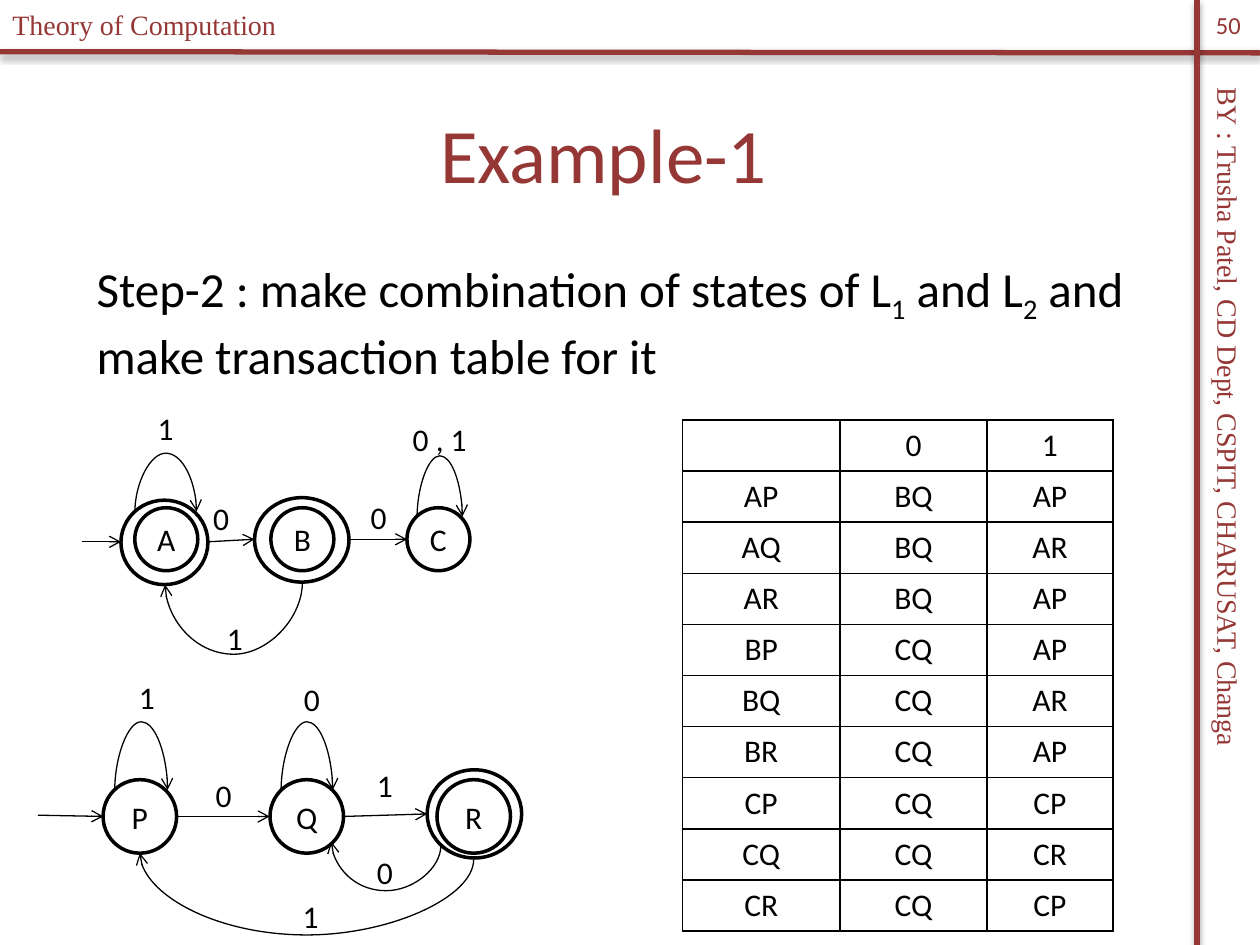
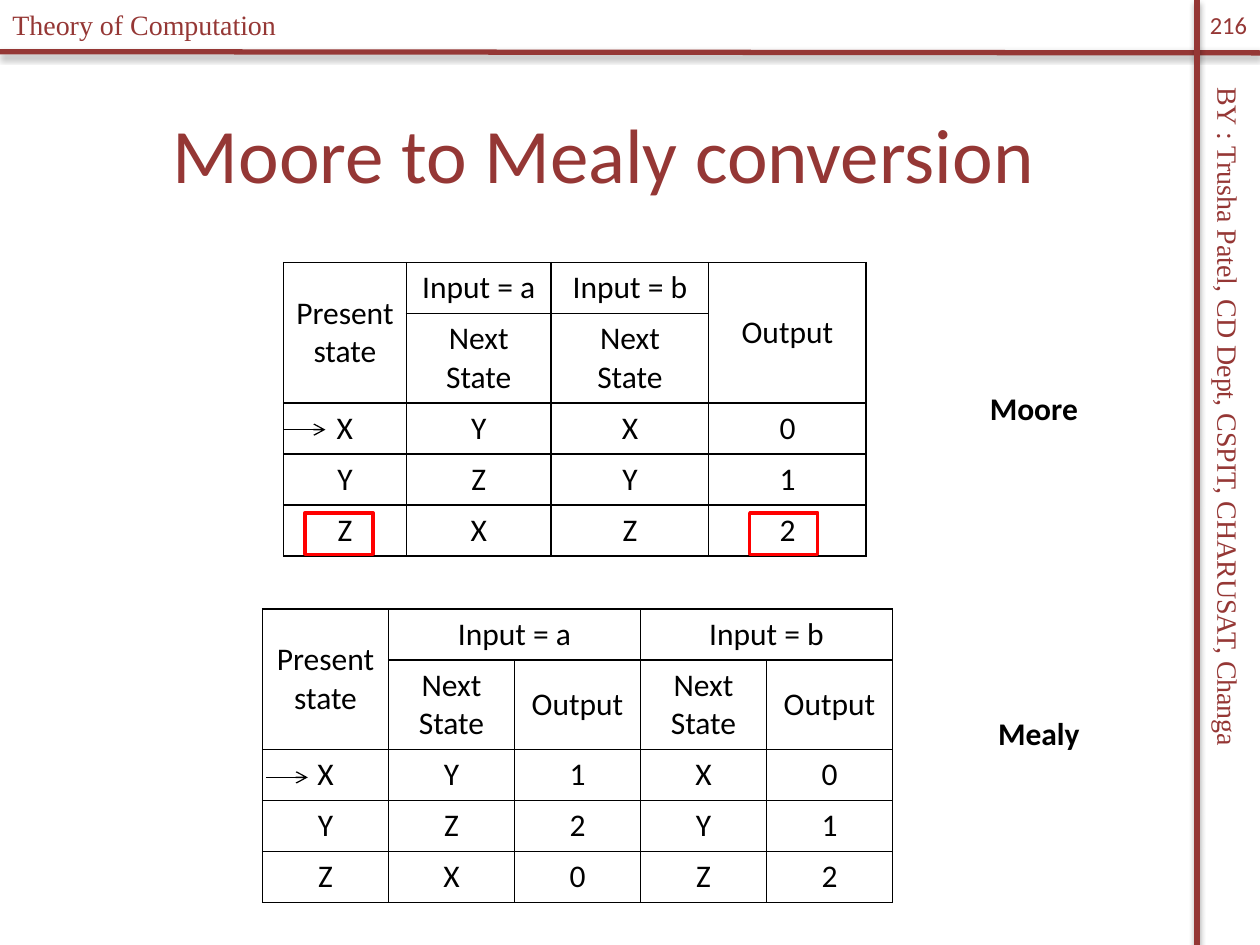
import lxml.etree
import pptx
import pptx.dml.color
import pptx.enum.shapes
import pptx.enum.text
import pptx.oxml
import pptx.oxml.ns
import pptx.util

MAROON, BLACK, WHITE, RED = "953735", "000000", "FFFFFF", "FF0000"
SANS, SERIF = "Calibri", "Times New Roman"
COLS, ROWS = 120, 90  # square grid laid over the slide
LINK = pptx.enum.shapes.MSO_CONNECTOR
SHAPE = pptx.enum.shapes.MSO_SHAPE
ALIGN = pptx.enum.text.PP_ALIGN
MIDDLE = pptx.enum.text.MSO_ANCHOR.MIDDLE
ROW = 4.87

deck = pptx.Presentation()
deck.slide_width = pptx.util.Inches(10)
deck.slide_height = pptx.util.Inches(7.5)


def span(count):
    """Length of a number of grid units."""
    return pptx.util.Emu(round(deck.slide_width * count / COLS))


def spans(*counts):
    return [span(count) for count in counts]


def tint(code):
    return pptx.dml.color.RGBColor.from_string(code)


def node(parent, tag, **attrs):
    child = lxml.etree.SubElement(parent, pptx.oxml.ns.qn(tag))
    for name, value in attrs.items():
        child.set(name, str(value))
    return child


def style(frame, size, color=BLACK, font=SANS, bold=False, align=ALIGN.CENTER):
    for para in frame.paragraphs:
        para.alignment = align
        for run in para.runs:
            run.font.size = pptx.util.Pt(size)
            run.font.name = font
            run.font.bold = bold
            run.font.color.rgb = tint(color)


def label(shapes, text, box, size=18, **look):
    item = shapes.add_textbox(*spans(*box))
    item.text_frame.text = text
    item.text_frame.word_wrap = False
    item.text_frame.vertical_anchor = MIDDLE
    style(item.text_frame, size, **look)
    return item


def tag(shapes, text, x, y, wide=8, bold=False):
    """Text centred on a point."""
    label(shapes, text, (x - wide / 2, y - 2.4, wide, 4.8), bold=bold)


def stroke(shape, color, width):
    shape.line.color.rgb = tint(color)
    shape.line.width = pptx.util.Pt(width)


def link(shapes, x, y, to_x, to_y, color=BLACK, width=0.75, kind=LINK.STRAIGHT):
    line = shapes.add_connector(kind, *spans(x, y, to_x, to_y))
    stroke(line, color, width)
    node(line.element.spPr, "a:effectLst")
    return line


def point(line):
    """Put an open arrowhead at the end of a line."""
    ln = line.element.spPr.find(pptx.oxml.ns.qn("a:ln"))
    node(ln, "a:tailEnd", type="arrow")


def arrow(shapes, x, y, to_x, to_y):
    point(link(shapes, x, y, to_x, to_y))


def arc(shapes, x, y, to_x, to_y, peak):
    """U-shaped arrow whose far side lies at the height of peak."""
    mid_x, mid_y = (x + to_x) / 2, (y + to_y) / 2
    wide, high = abs(to_y - y) / 2, abs(to_x - x) / 2
    line = link(shapes, mid_x - wide, mid_y - high, mid_x + wide, mid_y + high,
                kind=LINK.CURVE)
    point(line)
    turn = line.element.spPr.find(pptx.oxml.ns.qn("a:xfrm"))
    turn.set("rot", "5400000")
    if y > to_y:
        turn.set("flipH", "1")
    if x < to_x:
        turn.set("flipV", "1")
    bend = round((peak - y) / (to_y - y) * 100000)
    guides = next(line.element.iter(pptx.oxml.ns.qn("a:avLst")))
    node(guides, "a:gd", name="adj1", fmla=f"val {bend}")


def shade(line):
    effects = line.element.spPr.find(pptx.oxml.ns.qn("a:effectLst"))
    drop = node(effects, "a:outerShdw", blurRad=pptx.util.Pt(3.1),
                dist=pptx.util.Pt(1.8), dir=5400000, rotWithShape=0)
    node(node(drop, "a:srgbClr", val=BLACK), "a:alpha", val=35000)


def outline(shapes, kind, box, color=BLACK, fill=None):
    shape = shapes.add_shape(kind, *spans(*box))
    shape.shadow.inherit = False
    stroke(shape, color, 2)
    if fill:
        shape.fill.solid()
        shape.fill.fore_color.rgb = tint(fill)
    else:
        shape.fill.background()
    return shape


def border(slide):
    """Draw the rules and running texts, then move them to the master."""
    shapes = slide.shapes
    rules = [link(shapes, 0, 4.92, COLS, 5.04, MAROON, 3),
             link(shapes, 114, 0, 114, ROWS, MAROON, 3)]
    for rule in rules:
        shade(rule)
    look = dict(size=16, color=MAROON, font=SERIF, align=ALIGN.LEFT)
    side = label(shapes, "BY : Trusha Patel, CD Dept, CSPIT, CHARUSAT, Changa",
                 (78.48, 43.44, 77.04, 4.44), **look)
    side.rotation = 90
    course = label(shapes, "Theory of Computation", (0, 0.12, 39.48, 4.44), **look)
    for number, part in enumerate([*rules, side, course], 20):
        part.element.xpath(".//p:cNvPr")[0].set("id", str(number))
        deck.slide_master.shapes.element.append(part.element)


def place(shape, box):
    shape.left, shape.top, shape.width, shape.height = spans(*box)


def page(layout, title, number):
    slide = deck.slides.add_slide(deck.slide_layouts[layout])
    head = slide.shapes.title
    place(head, (2, 7, 111, 15))
    head.text_frame.text = title
    head.text_frame.vertical_anchor = MIDDLE
    style(head.text_frame, 44, MAROON)
    label(slide.shapes, number, (114, 0, 6, 4.8), 14, color=MAROON)
    return slide


def step(slide, box, parts):
    """Body text in which every second part is a subscript."""
    body = slide.placeholders[1]
    place(body, box)
    para = body.text_frame.paragraphs[0]
    for part in parts:
        para.add_run().text = part
    props = body.element.xpath(".//a:p")[0].get_or_add_pPr()
    props.set("marL", str(span(6)))
    props.set("indent", "0")
    node(props, "a:buNone")
    para.space_before = pptx.util.Pt(0)
    style(body.text_frame, 28, align=ALIGN.LEFT)
    for run in body.element.xpath(".//a:rPr")[1::2]:
        run.set("baseline", "-25000")


def edge(frame):
    """Rule every side of every cell; borders stand before the fill."""
    for props in frame.element.iter(pptx.oxml.ns.qn("a:tcPr")):
        for order, side in enumerate(("a:lnL", "a:lnR", "a:lnT", "a:lnB")):
            line = node(props, side, w=pptx.util.Pt(1))
            node(node(line, "a:solidFill"), "a:srgbClr", val=BLACK)
            props.insert(order, line)


def grid(slide, spot, widths, heights, rows, merges=()):
    frame = slide.shapes.add_table(len(rows), len(widths), *spans(
        *spot, sum(widths), sum(heights)))
    table = frame.table
    table.first_row = table.horz_banding = False
    for column, width in zip(table.columns, widths):
        column.width = span(width)
    for line, height, texts in zip(table.rows, heights, rows):
        line.height = span(height)
        for cell, text in zip(line.cells, texts):
            cell.text_frame.text = text
            cell.vertical_anchor = MIDDLE
            cell.fill.background()
            style(cell.text_frame, 18)
    edge(frame)
    for top, left, low, right in merges:
        table.cell(top, left).merge(table.cell(low, right))


def graph(slide, spot, names, first, pitch, size, rings, arrows, arcs, tags):
    """State diagram; all points count from spot."""
    shapes = slide.shapes.add_group_shape().shapes
    left, top = spot

    def shift(*points):
        return [n + spot[i % 2] for i, n in enumerate(points)]

    for i, name in enumerate(names):
        x, y = shift(first[0] + i * pitch - size / 2, first[1] - size / 2)
        state = outline(shapes, SHAPE.OVAL, (x, y, size, size), fill=WHITE)
        frame = state.text_frame
        frame.text = name
        frame.word_wrap = False
        frame.vertical_anchor = MIDDLE
        style(frame, 18)
    for x, y, wide, high in rings:
        outline(shapes, SHAPE.OVAL, (*shift(x, y), wide, high))
    for ends in arrows:
        arrow(shapes, *shift(*ends))
    for *ends, peak in arcs:
        arc(shapes, *shift(*ends), peak + top)
    for text, x, y in tags:
        tag(shapes, text, *shift(x, y))


def machine(slide, spot, widths, rows, merges, start, caption, marks=()):
    """State table with its start arrow, caption and marked cells."""
    left, top = spot
    grid(slide, spot, widths, [ROW, 8.5] + [ROW] * 3, rows, merges)
    name, x, y = caption
    tag(slide.shapes, name, left + x, top + y, wide=14, bold=True)
    for x, y in marks:
        outline(slide.shapes, SHAPE.RECTANGLE, (left + x, top + y, 6.48, 3.96), RED)
    x, y = start
    arrow(slide.shapes, left + x, top + y, left + x + 4, top + y)


def example():
    slide = page(1, "Example-1", "50")
    border(slide)
    step(slide, (2, 24, 111, 63),
         ["Step-2 : make combination of states of L", "1", " and L", "2",
          " and make transaction table for it"])
    rows = ["AP BQ AP", "AQ BQ AR", "AR BQ AP", "BP CQ AP", "BQ CQ AR",
            "BR CQ AP", "CP CQ CP", "CQ CQ CR", "CR CQ CP"]
    grid(slide, (65, 40), [15, 14, 12], [ROW] * 10,
         [["", "0", "1"]] + [row.split() for row in rows])
    graph(slide, (3.6, 64), "PQR", (9.72, 13.76), 15.9, 7,
          rings=[(37.08, 9.32, 9, 8.4)],
          arrows=[(0, 13.64, 6.24, 13.76), (13.2, 13.76, 22.08, 13.76),
                  (29.04, 13.76, 37.08, 13.52)],
          arcs=[(23.16, 11.36, 28.08, 11.24, 4.64), (7.32, 11.36, 12.36, 11.24, 4.64),
                (38.4, 16.52, 27.96, 16.16, 20.84), (41.52, 17.84, 9.72, 17.24, 25.04)],
          tags=[("1", 10.38, 2.36), ("1", 33.06, 10.76), ("1", 25.98, 23.24),
                ("0", 17.7, 11.72), ("0", 26.1, 2.6), ("0", 33.06, 19.04)])
    graph(slide, (7.8, 38.4), "ABC", (8.04, 12.96), 12.96, 6,
          rings=[(3.72, 9.24, 8.28, 8.04), (16.44, 9, 9, 8.04)],
          arrows=[(0, 13.2, 3.72, 13.2), (12, 13.2, 16.44, 12.96),
                  (25.44, 12.96, 30.96, 12.96)],
          arcs=[(31.92, 10.92, 36.24, 10.8, 4.92), (5.04, 10.44, 10.92, 10.32, 4.68),
                (21, 17.04, 7.92, 17.28, 23.88)],
          tags=[("0", 13.26, 10.92), ("1", 14.58, 22.32), ("0", 28.26, 10.8),
                ("0 , 1", 34.08, 3.36), ("1", 7.98, 2.4)])


def moore():
    slide = page(5, "Moore to Mealy conversion", "216")
    machine(slide, (27, 25), [11.7, 13.8, 15, 15],
            [["Present state", "Input = a", "Input = b", "Output"],
             ["", "Next State", "Next\nState", ""],
             "XYX0", "YZY1", "ZXZ2"],
            [(0, 0, 1, 0), (0, 3, 1, 3)], (0, 15.92), ("Moore", 71.46, 13.88),
            [(2.04, 23.84), (44.4, 23.84)])
    machine(slide, (25, 58), [12] * 5,
            [["Present state", "Input = a", "", "Input = b", ""],
             ["", "Next State", "Output", "Next\nState", "Output"],
             "XY1X0", "YZ2Y1", "ZX0Z2"],
            [(0, 0, 1, 0), (0, 1, 0, 2), (0, 3, 0, 4)], (0.32, 16.04),
            ("Mealy", 73.94, 11.84))


def main():
    example()
    moore()
    deck.save("out.pptx")


if __name__ == "__main__":
    main()
